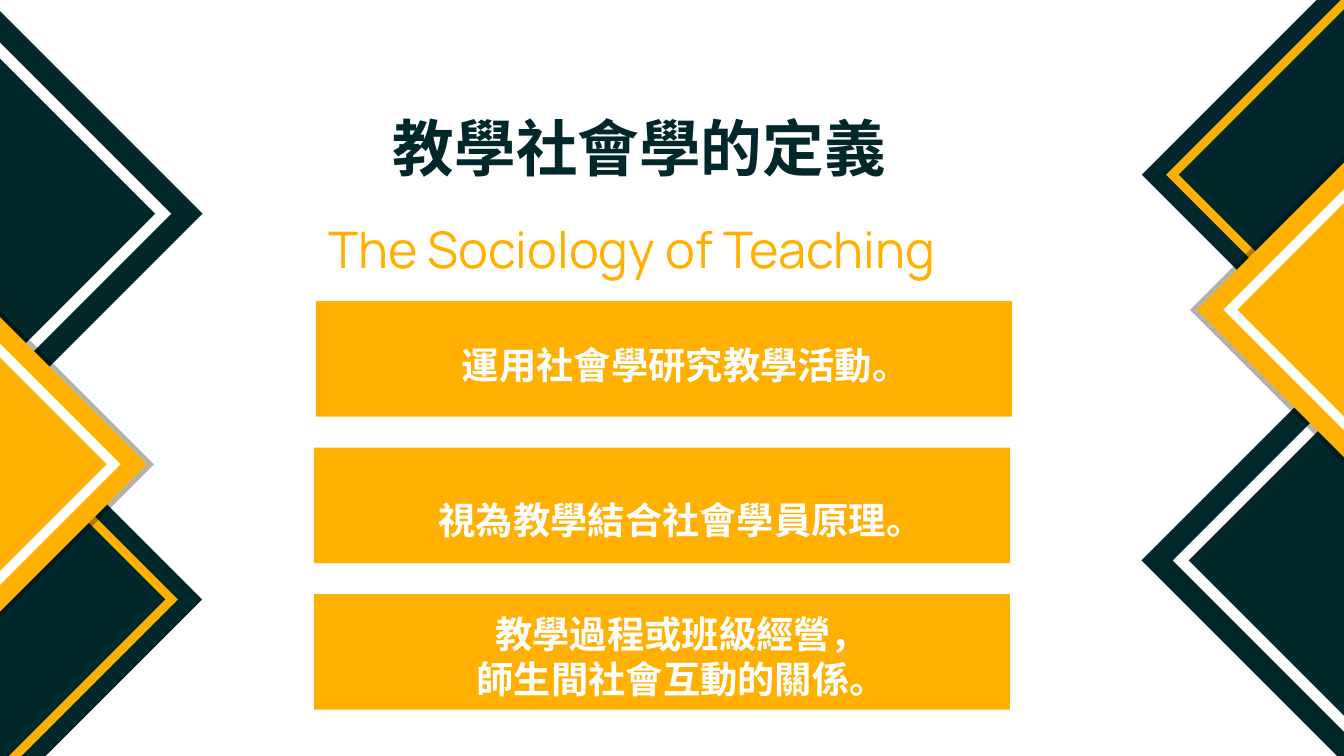
"""Build the slide that defines the sociology of teaching."""
from dataclasses import dataclass

from lxml import etree
from pptx import Presentation
from pptx.dml.color import RGBColor
from pptx.enum.text import MSO_ANCHOR, MSO_AUTO_SIZE, PP_ALIGN
from pptx.oxml.ns import qn
from pptx.util import Inches, Pt
from pptx.enum.shapes import MSO_SHAPE

RECTANGLE = MSO_SHAPE.RECTANGLE
CENTER = PP_ALIGN.CENTER
TOP = MSO_ANCHOR.TOP
NO_AUTOFIT = MSO_AUTO_SIZE.NONE


@dataclass(frozen=True)
class Theme:
    """Colours, fonts and type sizes of the slide."""
    dark: RGBColor = RGBColor.from_string("002729")
    amber: RGBColor = RGBColor.from_string("FFB000")
    white: RGBColor = RGBColor.from_string("FFFFFF")
    shadow: RGBColor = RGBColor.from_string("000000")
    cjk: str = "Noto Sans CJK SC"
    latin: str = "Manrope"
    title: Pt = Pt(66)
    subtitle: Pt = Pt(54)
    statement: Pt = Pt(40)


THEME = Theme()
SLIDE_WIDTH, SLIDE_HEIGHT = 20, 11.25
MIRROR_HEIGHT = 11.52
HEADING_SPACING = Pt(100.7)

DIAMONDS = [
    (21.25, 8.34, 6.03, 0, THEME.dark, 100),
    (21.25, 8.34, 5.37, 5.04, THEME.white, 100),
    (20.33, 2.6, 4.72, 0, THEME.dark, 100),
    (20.33, 2.6, 4.21, 3.95, THEME.amber, 100),
    (21.35, 4.61, 5.15, 0, THEME.shadow, 30),
    (21.45, 4.61, 5.15, 0, THEME.amber, 100),
    (21.45, 4.61, 4.59, 4.3, THEME.white, 100),
]
PANELS = [(4.7, 4.48), (4.67, 6.66), (4.67, 8.84)]
PANEL_SIZE = (10.36, 1.72)
STATEMENTS = [
    ((2.44, 4.71, 15.53, 0.99), ["運用社會學研究教學活動。"], 1.5),
    ((2.37, 7.01, 15.53, 3.01), ["視為教學結合社會學員原理。"], 1.5),
    ((2.38, 9.05, 15.53, 1.45),
     ["教學過程或班級經營，", "師生間社會互動的關係。"], 1.0),
]


def apply(target, values):
    """Set each attribute of target from a dict of values."""
    for name, value in values.items():
        setattr(target, name, value)


def place(shape, box):
    """Move and size a shape to a box given in inches."""
    apply(shape, dict(zip(("left", "top", "width", "height"), map(Inches, box))))


def paint(shape, colour, opacity=100):
    """Give a shape a flat fill without outline or shadow."""
    shape.shadow.inherit = False
    shape.line.fill.background()
    shape.fill.solid()
    shape.fill.fore_color.rgb = colour
    if opacity < 100:
        tint = shape.fill._xPr.find(".//" + qn("a:srgbClr"))
        etree.SubElement(tint, qn("a:alpha"), val=str(opacity * 1000))


def square_corners(x, y, side):
    """Return the corners of a square centred on a point."""
    half = side / 2
    signs = [(-1, -1), (1, -1), (1, 1), (-1, 1)]
    return [(Inches(x + half * a), Inches(y + half * b)) for a, b in signs]


def add_diamond(slide, x, y, side, hole, colour, opacity, turn):
    """Add a turned square, hollow when a hole size is given."""
    outer = square_corners(x, y, side)
    builder = slide.shapes.build_freeform(*outer[0], scale=1.0)
    builder.add_line_segments(outer[1:], close=True)
    if hole:
        inner = square_corners(x, y, hole)[::-1]
        builder.move_to(*inner[0])
        builder.add_line_segments(inner[1:], close=True)
    diamond = builder.convert_to_shape()
    diamond.rotation = turn
    paint(diamond, colour, opacity)


def add_panel(slide, left, top):
    """Add one amber panel behind a statement."""
    panel = slide.shapes.add_shape(RECTANGLE, 0, 0, 0, 0)
    place(panel, (left, top, *PANEL_SIZE))
    paint(panel, THEME.amber)


def write(shape, lines, line_spacing, font_values, colour):
    """Write centred lines from the top of a text shape."""
    frame = shape.text_frame
    apply(frame, {"word_wrap": True, "auto_size": NO_AUTOFIT,
                  "vertical_anchor": TOP})
    frame.text = "\n".join(lines)
    for paragraph in frame.paragraphs:
        apply(paragraph, {"alignment": CENTER, "line_spacing": line_spacing,
                          "space_before": Pt(0)})
        for run in paragraph.runs:
            apply(run.font, font_values)
            run.font.color.rgb = colour
            etree.SubElement(run._r.get_or_add_rPr(), qn("a:ea"),
                             typeface=font_values["name"])


def add_heading(placeholder, box, text, font_values, colour):
    """Fill a heading placeholder without inner margins."""
    place(placeholder, box)
    margins = ("margin_left", "margin_top", "margin_right", "margin_bottom")
    apply(placeholder.text_frame, dict.fromkeys(margins, 0))
    write(placeholder, [text], HEADING_SPACING, font_values, colour)


def add_statement(slide, box, lines, line_spacing):
    """Add one white statement over its panel."""
    statement = slide.shapes.add_textbox(*map(Inches, box))
    font_values = {"name": THEME.cjk, "size": THEME.statement, "bold": True}
    write(statement, lines, line_spacing, font_values, THEME.white)


def main():
    """Build and save the slide."""
    deck = Presentation()
    apply(deck, {"slide_width": Inches(SLIDE_WIDTH),
                 "slide_height": Inches(SLIDE_HEIGHT)})
    slide = deck.slides.add_slide(deck.slide_layouts[0])
    for x, y, *style in DIAMONDS:
        add_diamond(slide, x, y, *style, turn=45)
        add_diamond(slide, SLIDE_WIDTH - x, MIRROR_HEIGHT - y, *style, turn=225)
    add_heading(slide.shapes.title, (3.76, 1.34, 11.51, 1.29), "教學社會學的定義",
                {"name": THEME.cjk, "size": THEME.title, "bold": True},
                THEME.dark)
    add_heading(slide.placeholders[1], (3.65, 2.74, 11.51, 1.27),
                "The Sociology of Teaching",
                {"name": THEME.latin, "size": THEME.subtitle, "bold": False},
                THEME.amber)
    for left, top in PANELS:
        add_panel(slide, left, top)
    for box, lines, line_spacing in STATEMENTS:
        add_statement(slide, box, lines, line_spacing)
    deck.save("out.pptx")


if __name__ == "__main__":
    main()
